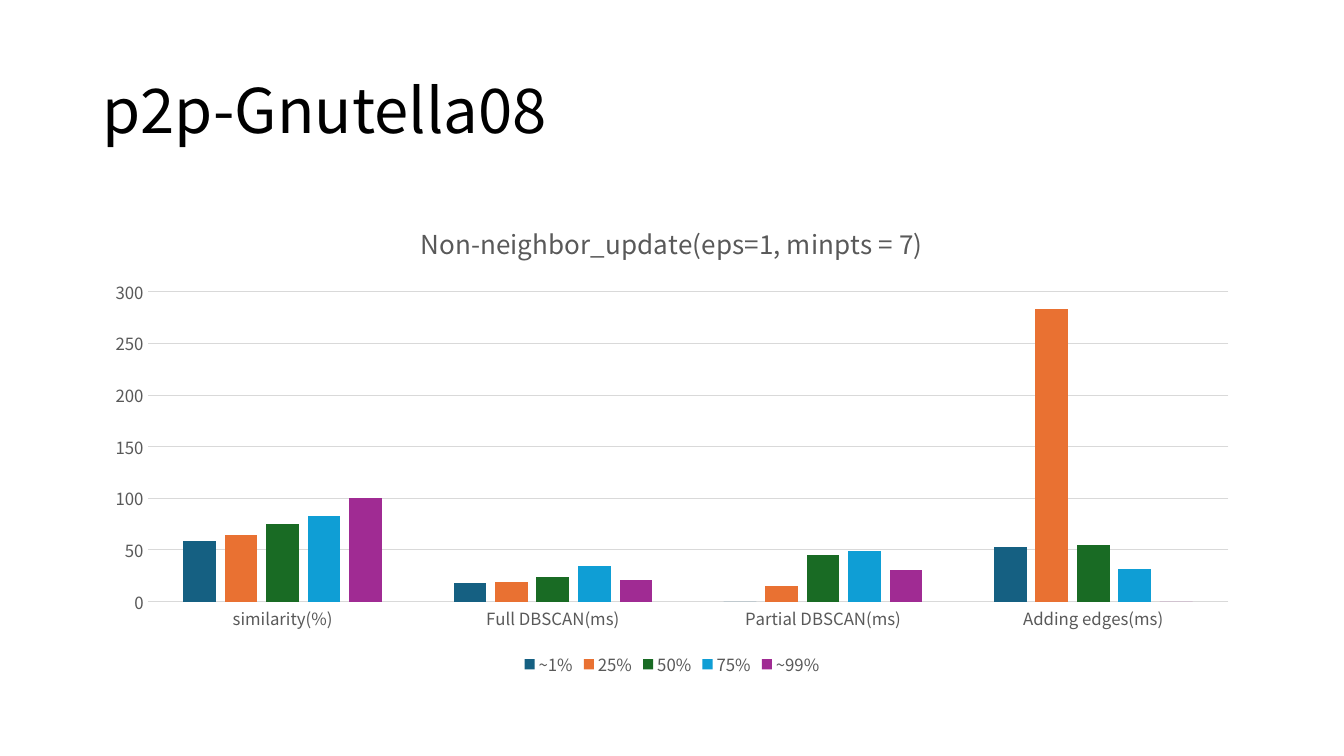
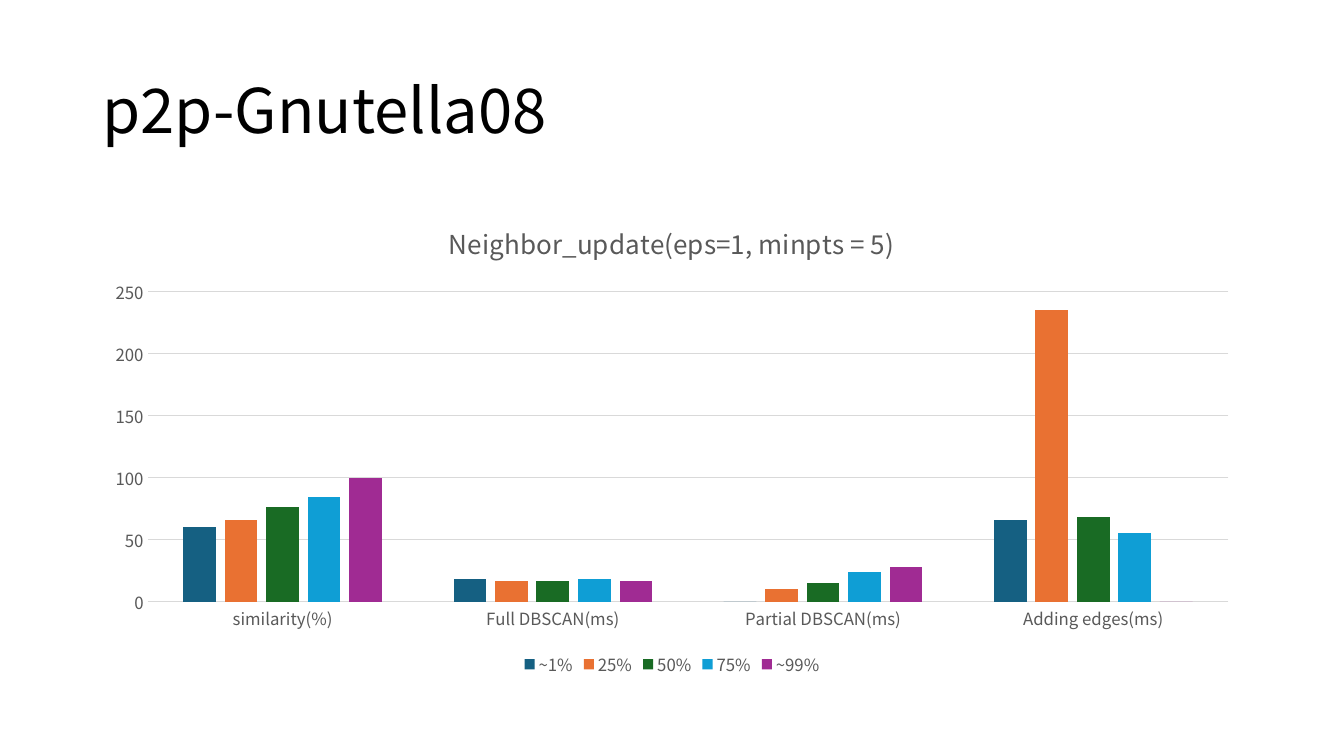
import dataclasses

import pptx
import pptx.chart.data
import pptx.dml.color
import pptx.enum.chart
import pptx.enum.text
import pptx.util

Pt = pptx.util.Pt


@dataclasses.dataclass(frozen=True)
class Theme:
    font: str = "Noto Sans CJK KR"
    title_color: str = "000000"
    label_color: str = "595959"
    line_color: str = "D9D9D9"
    series_colors: tuple = ("156082", "E97132", "196B24", "0F9ED5", "A02B93")
    title_size: float = 44
    chart_title_size: float = 18.6
    label_size: float = 12
    line_width: float = 0.75


THEME = Theme()
PAGE_SIZE = (960, 540)
TITLE_BOX = (66, 28.75, 828, 104.38)
CHART_BOX = (66, 143.75, 828, 342.63)

TITLE = "p2p-Gnutella08"
CATEGORIES = ("similarity(%)", "Full DBSCAN(ms)", "Partial DBSCAN(ms)", "Adding edges(ms)")
# Chart title, top of the value axis, and one row of values per series
RESULTS = (
    ("Non-neighbor_update(eps=1, minpts = 7)", 300, {
        "~1%": (59, 18, 0, 53),
        "25%": (64, 19, 15, 283),
        "50%": (75, 24, 45, 55),
        "75%": (83, 34, 49, 32),
        "~99%": (100, 21, 31, 0),
    }),
    ("Neighbor_update(eps=1, minpts = 5)", 250, {
        "~1%": (60, 18, 0, 66),
        "25%": (66, 17, 10, 235),
        "50%": (76, 17, 15, 68),
        "75%": (84, 18, 24, 55),
        "~99%": (100, 17, 28, 0),
    }),
)


def rgb(value):
    return pptx.dml.color.RGBColor.from_string(value)


def style_font(font, size, color):
    font.name = THEME.font
    font.size = Pt(size)
    font.bold = False
    font.color.rgb = rgb(color)


def style_line(line):
    line.color.rgb = rgb(THEME.line_color)
    line.width = Pt(THEME.line_width)


def set_title(page, text):
    title = page.shapes.title
    title.left, title.top, title.width, title.height = map(Pt, TITLE_BOX)
    frame = title.text_frame
    frame.text = text
    frame.vertical_anchor = pptx.enum.text.MSO_ANCHOR.MIDDLE
    para = frame.paragraphs[0]
    para.alignment = pptx.enum.text.PP_ALIGN.LEFT
    para.line_spacing = 0.9
    style_font(para.font, THEME.title_size, THEME.title_color)


def style_axes(chart, top_value):
    for axis in (chart.category_axis, chart.value_axis):
        axis.major_tick_mark = pptx.enum.chart.XL_TICK_MARK.NONE
        axis.minor_tick_mark = pptx.enum.chart.XL_TICK_MARK.NONE
        style_font(axis.tick_labels.font, THEME.label_size, THEME.label_color)
    style_line(chart.category_axis.format.line)
    values = chart.value_axis
    values.minimum_scale, values.maximum_scale, values.major_unit = 0, top_value, 50
    values.format.line.fill.background()
    style_line(values.major_gridlines.format.line)


def add_column_chart(page, heading, top_value, rows):
    data = pptx.chart.data.CategoryChartData()
    data.categories = CATEGORIES
    for name, values in rows.items():
        data.add_series(name, values)
    kind = pptx.enum.chart.XL_CHART_TYPE.COLUMN_CLUSTERED
    chart = page.shapes.add_chart(kind, *map(Pt, CHART_BOX), data).chart
    chart.font.name = THEME.font

    chart.has_title = True
    chart.chart_title.include_in_layout = False
    frame = chart.chart_title.text_frame
    frame.text = heading
    style_font(frame.paragraphs[0].font, THEME.chart_title_size, THEME.label_color)

    chart.has_legend = True
    chart.legend.position = pptx.enum.chart.XL_LEGEND_POSITION.BOTTOM
    chart.legend.include_in_layout = False
    style_font(chart.legend.font, THEME.label_size, THEME.label_color)

    style_axes(chart, top_value)
    plot = chart.plots[0]
    plot.vary_by_categories = False
    plot.gap_width = 219
    plot.overlap = -27
    for series, color in zip(plot.series, THEME.series_colors):
        series.format.fill.solid()
        series.format.fill.fore_color.rgb = rgb(color)


def main():
    deck = pptx.Presentation()
    deck.slide_width, deck.slide_height = map(Pt, PAGE_SIZE)
    title_only = deck.slide_layouts[5]
    for heading, top_value, rows in RESULTS:
        page = deck.slides.add_slide(title_only)
        set_title(page, TITLE)
        add_column_chart(page, heading, top_value, rows)
    deck.save("out.pptx")


if __name__ == "__main__":
    main()
